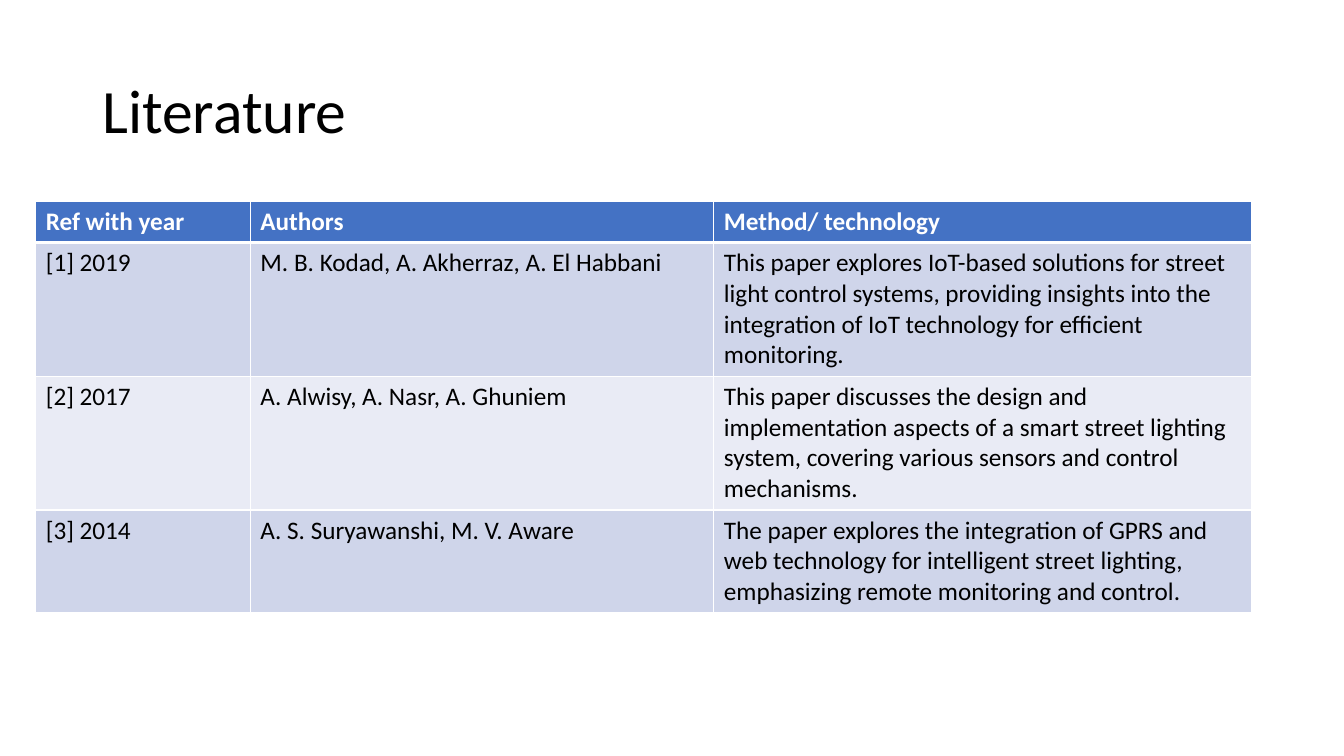
from dataclasses import dataclass

from lxml import etree
from pptx import Presentation
from pptx.dml.color import RGBColor
from pptx.enum.text import MSO_ANCHOR
from pptx.oxml.ns import qn
from pptx.util import Cm, Pt

MIDDLE = MSO_ANCHOR.MIDDLE
BLANK_LAYOUT = 6


@dataclass(frozen=True)
class Theme:
    font: str = "Calibri"
    title_size: int = 44
    table_size: int = 18
    text: str = "000000"
    header_text: str = "FFFFFF"
    header_fill: str = "4472C4"
    bands: tuple = ("CFD5EA", "E9EBF5")
    border: str = "FFFFFF"
    thin: int = 1
    thick: int = 3


THEME = Theme()

COLUMN_WIDTHS = (5.41, 11.68, 13.56)
ROW_HEIGHTS = (1.03, 3.37, 3.37, 2.59)
LITERATURE = (
    ("Ref with year", "Authors", "Method/ technology"),
    ("[1] 2019", "M. B. Kodad, A. Akherraz, A. El Habbani",
     "This paper explores IoT-based solutions for street light control systems, "
     "providing insights into the integration of IoT technology for efficient monitoring."),
    ("[2] 2017", "A. Alwisy, A. Nasr, A. Ghuniem",
     "This paper discusses the design and implementation aspects of a smart street "
     "lighting system, covering various sensors and control mechanisms."),
    ("[3] 2014", "A. S. Suryawanshi, M. V. Aware",
     "The paper explores the integration of GPRS and web technology for intelligent "
     "street lighting, emphasizing remote monitoring and control."),
)


def format_text(frame, size, color, bold=False):
    for para in frame.paragraphs:
        for span in para.runs:
            span.font.name = THEME.font
            span.font.size = Pt(size)
            span.font.bold = bold
            span.font.color.rgb = RGBColor.from_string(color)


def add_title(page, text):
    box = page.shapes.add_textbox(Cm(2.33), Cm(1.01), Cm(29.21), Cm(3.68))
    frame = box.text_frame
    frame.word_wrap = True
    frame.vertical_anchor = MIDDLE
    frame.text = text
    frame.paragraphs[0].line_spacing = 0.9
    format_text(frame, THEME.title_size, THEME.text)


def set_borders(cell, top, bottom):
    """Draw all four cell edges; the side edges are always thin."""
    properties = cell._tc.get_or_add_tcPr()
    edges = {"L": THEME.thin, "R": THEME.thin, "T": top, "B": bottom}
    for position, (side, width) in enumerate(edges.items()):
        line = etree.Element(qn(f"a:ln{side}"), w=str(Pt(width)))
        fill = etree.SubElement(line, qn("a:solidFill"))
        etree.SubElement(fill, qn("a:srgbClr"), val=THEME.border)
        properties.insert(position, line)


def fill_cell(cell, text, row):
    is_header = row == 0
    fill = THEME.header_fill if is_header else THEME.bands[(row - 1) % 2]
    cell.text_frame.text = text
    format_text(cell.text_frame, THEME.table_size,
                THEME.header_text if is_header else THEME.text, is_header)
    cell.fill.solid()
    cell.fill.fore_color.rgb = RGBColor.from_string(fill)
    set_borders(cell,
                top=THEME.thick if row == 1 else THEME.thin,
                bottom=THEME.thick if is_header else THEME.thin)


def add_literature_table(page):
    frame = page.shapes.add_table(
        len(LITERATURE), len(COLUMN_WIDTHS), Cm(0.9), Cm(5.08),
        Cm(sum(COLUMN_WIDTHS)), Cm(sum(ROW_HEIGHTS)))
    table = frame.table
    for column, width in zip(table.columns, COLUMN_WIDTHS):
        column.width = Cm(width)
    for row, (height, texts) in enumerate(zip(ROW_HEIGHTS, LITERATURE)):
        table.rows[row].height = Cm(height)
        for column, text in enumerate(texts):
            fill_cell(table.cell(row, column), text, row)


def main():
    deck = Presentation()
    deck.slide_width, deck.slide_height = Cm(33.87), Cm(19.05)
    page = deck.slides.add_slide(deck.slide_layouts[BLANK_LAYOUT])
    add_title(page, "Literature")
    add_literature_table(page)
    deck.save("out.pptx")


if __name__ == "__main__":
    main()
